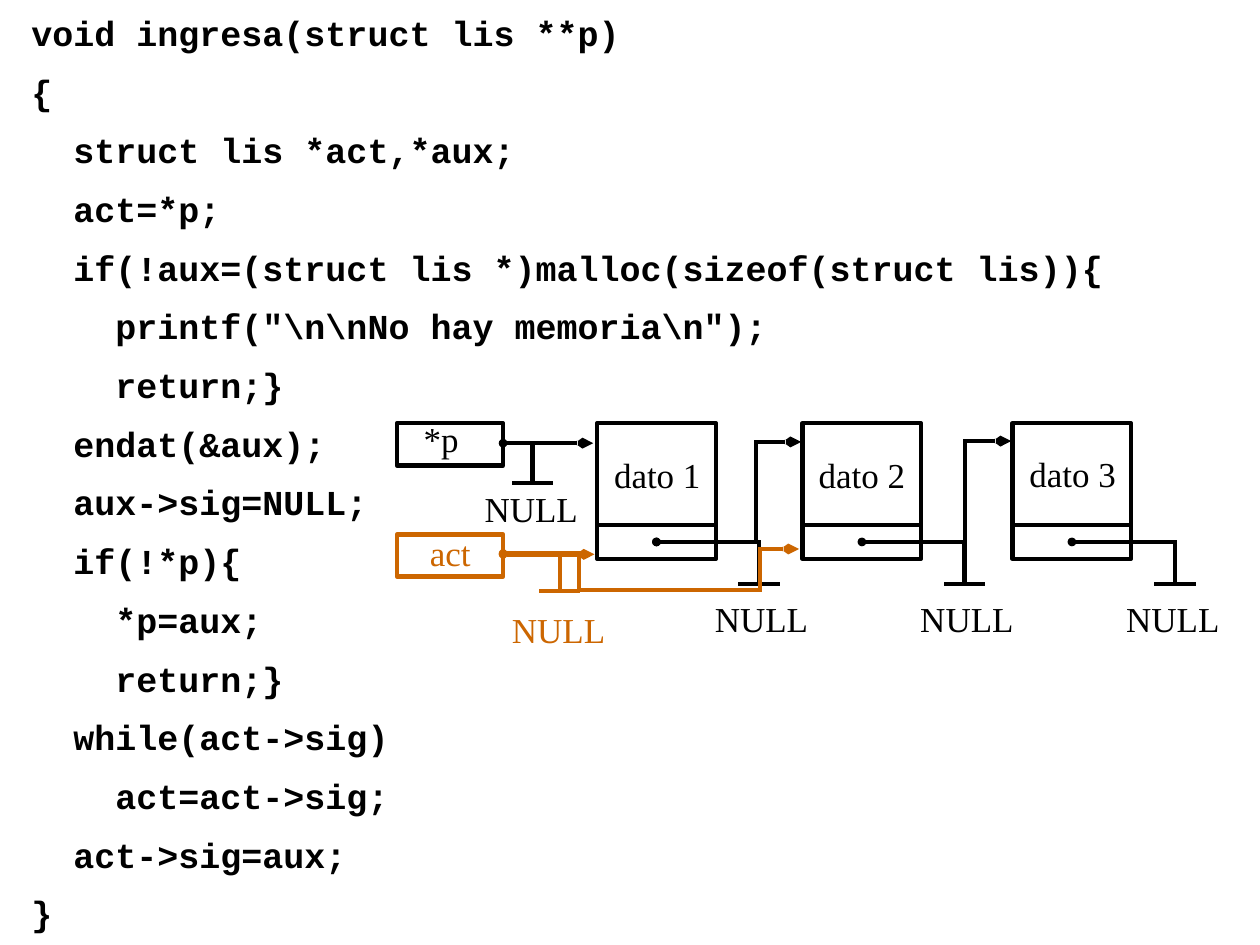
from itertools import pairwise
from typing import NamedTuple

from lxml import etree
from pptx import Presentation
from pptx.dml.color import RGBColor
from pptx.enum.shapes import MSO_CONNECTOR, MSO_SHAPE
from pptx.enum.text import MSO_ANCHOR, MSO_AUTO_SIZE, PP_ALIGN
from pptx.oxml.ns import qn
from pptx.util import Cm, Pt

RECT = MSO_SHAPE.RECTANGLE
STRAIGHT = MSO_CONNECTOR.STRAIGHT
MIDDLE = MSO_ANCHOR.MIDDLE
CENTER = PP_ALIGN.CENTER
LEFT = PP_ALIGN.LEFT
GROW = MSO_AUTO_SIZE.SHAPE_TO_FIT_TEXT

BLACK, WHITE, ORANGE = "000000", "FFFFFF", "CC6600"
SERIF, MONO = "Times New Roman", "Courier New"
CHAR = 2.54 / 5  # width of one 24 pt code character
PITCH = 1.42  # distance between code lines

CODE = r'''void ingresa(struct lis **p)
{
  struct lis *act,*aux;
  act=*p;
  if(!aux=(struct lis *)malloc(sizeof(struct lis)){
    printf("\n\nNo hay memoria\n");
    return;}
  endat(&aux);
  aux->sig=NULL;
  if(!*p){
    *p=aux;
    return;}
  while(act->sig)
    act=act->sig;
  act->sig=aux;
}'''

Point = tuple[float, float]


class Frame(NamedTuple):
    x: float
    y: float
    w: float
    h: float


class Node(NamedTuple):
    x: float
    text: str
    label: Frame


class Pointer(NamedTuple):
    y: float
    text: str
    label: Frame
    color: str


class Ground(NamedTuple):
    x: float
    top: float
    end: float
    label: Point
    color: str


class Wire(NamedTuple):
    points: list[Point]
    color: str
    arrow: bool


NODES = [
    Node(14.45, "dato 1", Frame(14.53, 10.31, 2.74, 2.34)),
    Node(19.41, "dato 2", Frame(19.48, 10.31, 2.74, 2.34)),
    Node(24.49, "dato 3", Frame(24.64, 10.34, 2.62, 2.24)),
]
POINTERS = [
    Pointer(12.93, "act", Frame(9.7, 12.86, 2.39, 1), ORANGE),
    Pointer(10.24, "*p", Frame(9.96, 10.12, 1.42, 1), BLACK),
]
GROUNDS = [
    Ground(28.42, 13.11, 14.12, (27.1, 14.53), BLACK),
    Ground(18.36, 13.11, 14.12, (17.15, 14.53), BLACK),
    Ground(23.33, 13.11, 14.12, (22.12, 14.53), BLACK),
    Ground(13.54, 13.41, 14.3, (12.24, 14.81), ORANGE),
    Ground(12.88, 10.72, 11.68, (11.58, 11.86), BLACK),
]
WIRES = [
    Wire([(12.17, 10.72), (14.35, 10.72)], BLACK, True),
    Wire([(25.93, 13.11), (28.47, 13.11)], BLACK, False),
    Wire([(15.88, 13.11), (18.42, 13.11)], BLACK, False),
    Wire([(12.17, 13.39), (14, 13.39), (14, 14.27), (18.39, 14.27),
          (18.39, 13.28), (19.33, 13.28)], ORANGE, True),
    Wire([(12.17, 13.41), (14.38, 13.41)], ORANGE, True),
    Wire([(15.88, 13.11), (18.29, 13.11), (18.29, 10.69), (19.38, 10.69)],
         BLACK, True),
    Wire([(20.85, 13.11), (23.34, 13.11), (23.34, 10.67), (24.46, 10.67)],
         BLACK, True),
]


def rgb(color: str) -> RGBColor:
    return RGBColor.from_string(color)


def write(shape, text: str, color: str, font: str, align=CENTER) -> None:
    """Fill a shape with one run of 24 pt text."""
    para = shape.text_frame.paragraphs[0]
    para.alignment = align
    run = para.add_run()
    run.text = text
    run.font.size = Pt(24)
    run.font.name = font
    run.font.bold = font == MONO
    run.font.color.rgb = rgb(color)


def pad(shape) -> None:
    """Remove the margins and centre the text vertically."""
    body = shape.text_frame
    body.margin_left = body.margin_right = 0
    body.margin_top = body.margin_bottom = 0
    body.vertical_anchor = MIDDLE


def box(shapes, frame: Frame, fill: str = "", edge: str = "", width: float = 3):
    shape = shapes.add_shape(RECT, *map(Cm, frame))
    shape.shadow.inherit = False
    if fill:
        shape.fill.solid()
        shape.fill.fore_color.rgb = rgb(fill)
    else:
        shape.fill.background()
    if edge:
        shape.line.color.rgb = rgb(edge)
        shape.line.width = Pt(width)
    else:
        shape.line.fill.background()
    return shape


def line(shapes, start: Point, end: Point, color: str,
         head: bool = False, tail: bool = False) -> None:
    link = shapes.add_connector(STRAIGHT, *map(Cm, start + end))
    link.line.color.rgb = rgb(color)
    link.line.width = Pt(3)
    props = link.line._get_or_add_ln()
    if head:
        etree.SubElement(props, qn("a:headEnd"), type="oval", w="sm", len="sm")
    if tail:
        etree.SubElement(props, qn("a:tailEnd"), type="arrow", w="sm", len="med")
    if not head and not tail:
        props.set("cap", "sq")
    etree.SubElement(link._element.spPr, qn("a:effectLst"))


def main() -> None:
    deck = Presentation()
    deck.slide_width, deck.slide_height = Cm(30.48), Cm(22.86)
    shapes = deck.slides.add_slide(deck.slide_layouts[6]).shapes

    # Code, one box a line
    for row, text in enumerate(CODE.splitlines()):
        area = Frame(0.51, 0.15 + row * PITCH, CHAR * (len(text) + 1), 1.27)
        item = shapes.add_textbox(*map(Cm, area))
        item.text_frame.word_wrap = False
        item.text_frame.auto_size = GROW
        write(item, text, BLACK, MONO, LEFT)

    # Pointer variables
    for ptr in POINTERS:
        box(shapes, Frame(9.6, ptr.y, 2.57, 1.02), edge=ptr.color)
        item = shapes.add_textbox(*map(Cm, ptr.label))
        item.text_frame.word_wrap = False
        pad(item)
        write(item, ptr.text, ptr.color, SERIF)

    # List nodes
    for node in NODES:
        box(shapes, Frame(node.x, 10.24, 2.87, 3.28), WHITE, BLACK)
        line(shapes, (node.x, 12.7), (node.x + 2.87, 12.7), BLACK)
        item = box(shapes, node.label, WHITE, WHITE, 0.75)
        pad(item)
        write(item, node.text, BLACK, SERIF)

    # NULL ends
    for null in GROUNDS:
        item = box(shapes, Frame(*null.label, 2.54, 0.86), WHITE)
        pad(item)
        write(item, "NULL", null.color, SERIF)
        line(shapes, (null.x, null.top), (null.x, null.end), null.color)
        line(shapes, (null.x - 0.45, null.end), (null.x + 0.45, null.end), null.color)

    # Links between the parts
    for wire in WIRES:
        last = len(wire.points) - 2
        for step, (start, end) in enumerate(pairwise(wire.points)):
            line(shapes, start, end, wire.color, step == 0,
                 wire.arrow and step == last)

    deck.save("out.pptx")


if __name__ == "__main__":
    main()
